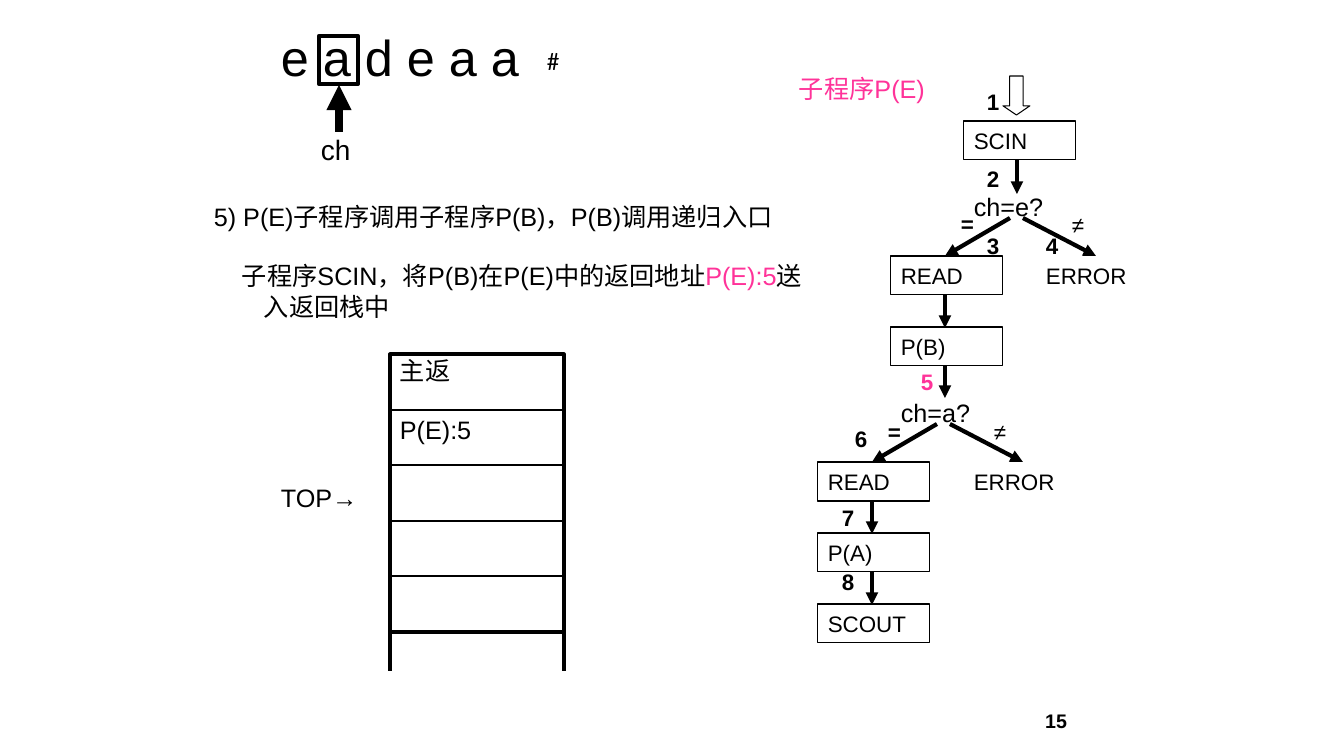
import pptx
import pptx.util
import pptx.dml.color
import pptx.enum.shapes
import pptx.enum.text
import pptx.oxml
import pptx.oxml.ns

PX = 914400 / 100.8  # EMU per px
COLORS = {"ink": "000000", "pink": "FF3399"}
SHAPE = pptx.enum.shapes.MSO_SHAPE
ANCHOR = pptx.enum.text.MSO_ANCHOR
ALIGN = pptx.enum.text.PP_ALIGN
RGB = pptx.dml.color.RGBColor.from_string

prs = pptx.Presentation()
prs.slide_width = round(1344 * PX)
prs.slide_height = round(756 * PX)
s = prs.slides.add_slide(prs.slide_layouts[6])


def add_box(x, y, w, h, paragraphs=(), size=16, bold=False, line=0,
            shape=SHAPE.RECTANGLE, middle=False, wrap=True, font="Arial"):
    """Add an outlined shape, or a text box if line is 0; paragraphs hold (text, colour) runs."""
    area = [round(v * PX) for v in (x, y, w, h)]
    if line:
        sp = s.shapes.add_shape(shape, *area)
        sp.shadow.inherit = False
        sp.fill.background()
        sp.line.color.rgb = RGB(COLORS["ink"])
        sp.line.width = pptx.util.Pt(line)
    else:
        sp = s.shapes.add_textbox(*area)
    tf = sp.text_frame
    tf.word_wrap = wrap
    tf.vertical_anchor = ANCHOR.MIDDLE if middle else ANCHOR.TOP
    for i, runs in enumerate(paragraphs):
        p = tf.add_paragraph() if i else tf.paragraphs[0]
        p.alignment = ALIGN.LEFT
        for text, color in runs:
            r = p.add_run()
            r.text = text
            r.font.name = font
            r.font.size = pptx.util.Pt(size)
            r.font.bold = bold
            r.font.color.rgb = RGB(COLORS[color])
    return sp


def add_line(x1, y1, x2, y2, width, arrow=False):
    """Add a straight line, with an arrowhead at its end if wanted."""
    c = s.shapes.add_connector(pptx.enum.shapes.MSO_CONNECTOR.STRAIGHT,
                               *[round(v * PX) for v in (x1, y1, x2, y2)])
    c.line.color.rgb = RGB(COLORS["ink"])
    c.line.width = pptx.util.Pt(width)
    if arrow:
        head = pptx.oxml.parse_xml(
            '<a:tailEnd %s type="triangle"/>' % pptx.oxml.ns.nsdecls("a"))
        c.line._get_or_add_ln().append(head)
    c._element.spPr.append(
        pptx.oxml.parse_xml("<a:effectLst %s/>" % pptx.oxml.ns.nsdecls("a")))


# Input string with the current character
add_box(319, 36, 39, 48, line=3)
add_line(339, 132, 339, 85, 6, arrow=True)
add_box(311, 128, 56, 43, [[("ch", "ink")]], size=20)
add_box(271, 21, 261, 71, [[("e a d e a a", "ink")]], size=36, wrap=False)
add_box(537, 40, 34, 40, [[("#", "ink")]], size=18, font="Calibri", wrap=False)

# Explanation
sp = add_box(204, 196, 611, 101, [
    [("5) P(E)子程序调用子程序P(B)，P(B)调用递归入口", "ink")],
    [("子程序SCIN，将P(B)在P(E)中的返回地址", "ink"),
     ("P(E):5", "pink"), ("送入返回栈中", "ink")],
], size=18)
for p, indent in zip(sp.text_frame.paragraphs, (-50, -22)):
    pPr = p._p.get_or_add_pPr()
    pPr.set("marL", str(round(50 * PX)))
    pPr.set("indent", str(round(indent * PX)))
sp.text_frame.paragraphs[1].space_before = pptx.util.Pt(21)

# Flowchart: title and entry arrow
add_box(789, 68, 202, 40, [[("子程序P(E)", "pink")]], size=18)
sp = add_box(1003, 76, 27, 39, line=0.75, shape=SHAPE.DOWN_ARROW)
sp.adjustments[0] = 0.5
sp.adjustments[1] = 0.34

# Flowchart: steps, tests and error exits
for x, y, text in [(964, 121, "SCIN"), (891, 256, "READ"), (891, 327, "P(B)"),
                   (818, 462, "READ"), (818, 533, "P(A)"), (818, 604, "SCOUT")]:
    add_box(x, y, 112, 39, [[(text, "ink")]], line=0.75, middle=True)
for x, y, text in [(964, 186, "ch=e?"), (891, 392, "ch=a?")]:
    add_box(x, y, 112, 40, [[(text, "ink")]], size=18)
for x, y in [(1036, 256), (964, 462)]:
    add_box(x, y, 112, 39, [[("ERROR", "ink")]], middle=True)

# Flowchart: arrows
for x, top, bottom in [(1017, 160, 194), (945, 295, 328), (945, 366, 398),
                       (872, 501, 534), (872, 572, 605)]:
    add_line(x, top, x, bottom, 3, arrow=True)
for x, y in [(1017, 218), (944, 424)]:
    add_line(x - 7, y, x - 72, y + 38, 3, arrow=True)
    add_line(x + 6, y, x + 79, y + 38, 3, arrow=True)

# Flowchart: return addresses and branch conditions
for x, y, text in [(977, 83, "1"), (977, 160, "2"), (977, 227, "3"), (1036, 227, "4"),
                   (911, 363, "5"), (845, 420, "6"), (832, 499, "7"), (832, 563, "8"),
                   (951, 205, "="), (1062, 206, "≠"), (878, 413, "="), (984, 413, "≠")]:
    color = "pink" if text == "5" else "ink"
    add_box(x, y, 26, 37, [[(text, color)]], bold=text != "≠")

# Return stack
left, right, top, height = 390, 564, 354, 278
sp = add_box(left, top, right - left, height,
             [[("主返", "ink")], [("P(E):5", "ink")]], size=18, line=2.25)
sp.text_frame.margin_top = sp.text_frame.margin_bottom = round(PX)
sp.text_frame.paragraphs[1].space_before = pptx.util.Pt(21)
for x in (left, right):
    add_line(x, 593, x, 671, 2.25)
for i in range(1, 5):
    y = top + round(i * height / 5)
    add_line(left, y, right, y, 0.75)
add_box(271, 477, 119, 40, [[("TOP→", "ink")]], size=18)

# Page number
sp = add_box(945, 701, 132, 40, [[("15", "ink")]], size=14, bold=True, middle=True)
sp.text_frame.paragraphs[0].alignment = ALIGN.RIGHT

prs.save("out.pptx")
